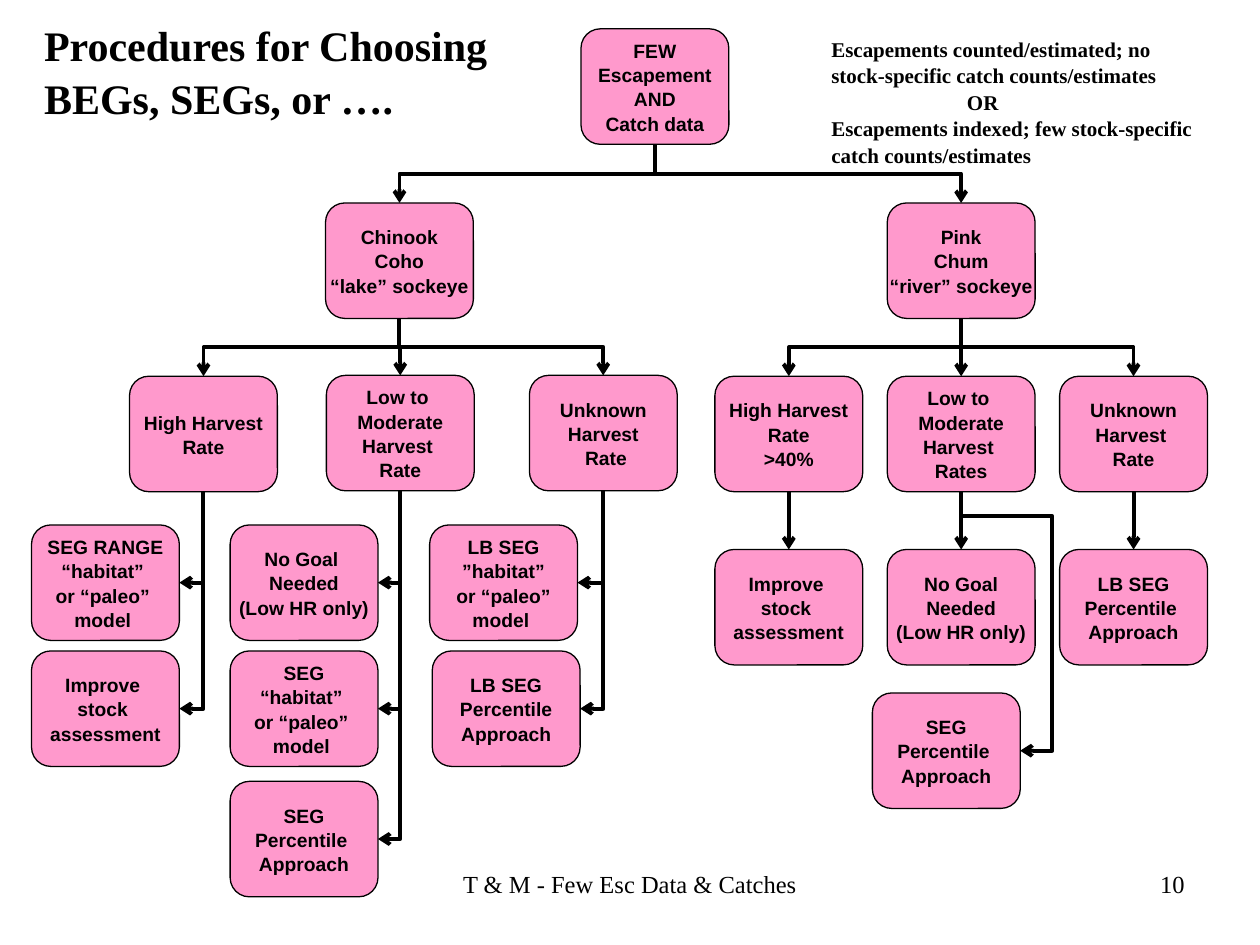
from pptx import Presentation
from pptx.enum import shapes as sh, text as tx
from pptx.dml.color import RGBColor
from pptx.oxml.ns import qn
from pptx.util import Pt
from lxml import etree

HEX = {"ink": "000000", "pink": "FF99CC"}
SERIF, SANS = "Times New Roman", "Arial"
WIDE, HIGH = 84.5, 66  # every box
LEAD = 1.05

TITLE = "Procedures for Choosing\nBEGs, SEGs, or …."
NOTE = ("Escapements counted/estimated; no stock-specific catch counts/estimates\n"
        "OR\n"
        "Escapements indexed; few stock-specific catch counts/estimates")
FOOTER, PAGE = "T & M - Few Esc Data & Catches", "10"

# Key: left, top, words, parent, kind of link
BOXES = {
    "few": (332, 16.5, "FEW\nEscapement\nAND\nCatch data", None, None),
    "lake": (186, 116, "Chinook\nCoho\n“lake” sockeye", "few", "tree"),
    "river": (507, 116, "Pink\nChum\n“river” sockeye", "few", "tree"),
    "high": (74, 215, "High Harvest\nRate", "lake", "tree"),
    "low": (186.5, 214.5, "Low to \nModerate\nHarvest \nRate", "lake", "tree"),
    "unknown": (302.5, 214.5, "Unknown\nHarvest\n Rate", "lake", "tree"),
    "high40": (408.5, 215, "High Harvest\nRate\n>40%", "river", "tree"),
    "lows": (507, 215, "Low to \nModerate\nHarvest \nRates", "river", "tree"),
    "unsure": (605.5, 215, "Unknown\nHarvest \nRate", "river", "tree"),
    "range": (18, 300, "SEG RANGE\n“habitat” \nor “paleo” \nmodel ", "high", "side"),
    "improve": (18, 372, "Improve \nstock \nassessment", "high", "side"),
    "no goal": (131.5, 300, "No Goal \nNeeded\n(Low HR only)", "low", "side"),
    "seg": (131.5, 372, "SEG\n“habitat” \nor “paleo” \nmodel ", "low", "side"),
    "percent": (131.5, 446.5, "SEG\nPercentile \nApproach", "low", "side"),
    "lb": (245.5, 300, "LB SEG\n”habitat”\n or “paleo” \nmodel ", "unknown", "side"),
    "lb percent": (247, 372, "LB SEG\nPercentile\nApproach", "unknown", "side"),
    "assess": (408.5, 314, "Improve \nstock \nassessment", "high40", "line"),
    "none": (507, 314, "No Goal\nNeeded\n(Low HR only)", "lows", "line"),
    "river lb": (605.5, 314, "LB SEG\nPercentile \nApproach", "unsure", "line"),
    "river seg": (498.5, 396, "SEG\nPercentile \nApproach", "lows", "loop"),
}
# Link kind: preset outline and adjustments
LINKS = {
    "line": ("line", ()),
    "tree": ("bentConnector3", (50000,)),
    "side": ("bentConnector2", ()),
    "loop": ("bentConnector4", (-54100, 90600)),
}


def color(name):
    return RGBColor.from_string(HEX[name])


def write(frame, words, font, size, bold=False, align="LEFT"):
    frame.text = words
    for par in frame.paragraphs:
        par.alignment = getattr(tx.PP_ALIGN, align)
        par.line_spacing = LEAD
        par.font.name, par.font.size, par.font.bold = font, Pt(size), bold
        par.font.color.rgb = color("ink")


def label(slide, area, words, size, **style):
    frame = slide.shapes.add_textbox(*map(Pt, area)).text_frame
    frame.word_wrap = True
    write(frame, words, SERIF, size, **style)
    return frame


def link(slide, key):
    left, top, _, boss, kind = BOXES[key]
    x2, y2 = BOXES[boss][0] + WIDE / 2, BOXES[boss][1] + HIGH
    if kind in ("tree", "line"):
        x1, y1 = left + WIDE / 2, top
    else:
        x1, y1 = left + WIDE, top + HIGH / 2
    ends = x1, y1, x2, y2
    if kind == "tree":  # lay the link flat, then turn it a quarter
        mx, my, dx, dy = (x1 + x2) / 2, (y1 + y2) / 2, x2 - x1, y2 - y1
        ends = mx - dy / 2, my + dx / 2, mx + dy / 2, my - dx / 2
    form = sh.MSO_CONNECTOR.STRAIGHT if kind == "line" else sh.MSO_CONNECTOR.ELBOW
    wire = slide.shapes.add_connector(form, *map(Pt, ends))
    wire.line.width = Pt(2.25)
    wire.line.color.rgb = color("ink")

    props = wire._element.spPr
    if kind == "tree":
        props.find(qn("a:xfrm")).set("rot", "5400000")
    shape, adjust = LINKS[kind]
    geom = props.find(qn("a:prstGeom"))
    geom.set("prst", shape)
    guides = geom.find(qn("a:avLst"))
    for num, val in enumerate(adjust, 1):
        name = "adj" if len(adjust) == 1 and kind != "tree" else f"adj{num}"
        etree.SubElement(guides, qn("a:gd"), name=name, fmla=f"val {val}")
    etree.SubElement(props.find(qn("a:ln")), qn("a:headEnd"), type="arrow")
    etree.SubElement(props, qn("a:effectLst"))


def box(slide, key):
    left, top, words = BOXES[key][:3]
    card = slide.shapes.add_shape(sh.MSO_SHAPE.ROUNDED_RECTANGLE,
                                  Pt(left), Pt(top), Pt(WIDE), Pt(HIGH))
    card.shadow.inherit = False
    card.fill.solid()
    card.fill.fore_color.rgb = color("pink")
    card.line.color.rgb = color("ink")
    card.line.width = Pt(0.75)
    frame = card.text_frame
    frame.margin_left = frame.margin_right = frame.margin_top = frame.margin_bottom = 0
    frame.word_wrap = False
    frame.vertical_anchor = tx.MSO_ANCHOR.MIDDLE
    write(frame, words, SANS, 11, bold=True, align="CENTER")


def main():
    deck = Presentation()
    deck.slide_width, deck.slide_height = Pt(720), Pt(540)
    slide = deck.slides.add_slide(deck.slide_layouts[5])

    # Title
    title = slide.shapes.title
    title.left, title.top, title.width, title.height = map(Pt, (18, 6, 275, 65))
    frame = title.text_frame
    frame.word_wrap = False
    frame.auto_size = tx.MSO_AUTO_SIZE.NONE
    frame.vertical_anchor = tx.MSO_ANCHOR.TOP
    write(frame, TITLE, SERIF, 24, bold=True)

    # Note, footer and page number
    note = label(slide, (468, 16.5, 222, 79), NOTE, 12, bold=True)
    note.paragraphs[1]._p.get_or_add_pPr().set("marL", str(Pt(77.5)))
    label(slide, (246, 492, 228, 24.5), FOOTER, 14, align="CENTER")
    label(slide, (516, 492, 168, 37.5), PAGE, 14, align="RIGHT")

    # Links lie behind the boxes
    for key in BOXES:
        if BOXES[key][3]:
            link(slide, key)
    for key in BOXES:
        box(slide, key)

    deck.save("out.pptx")


if __name__ == "__main__":
    main()
